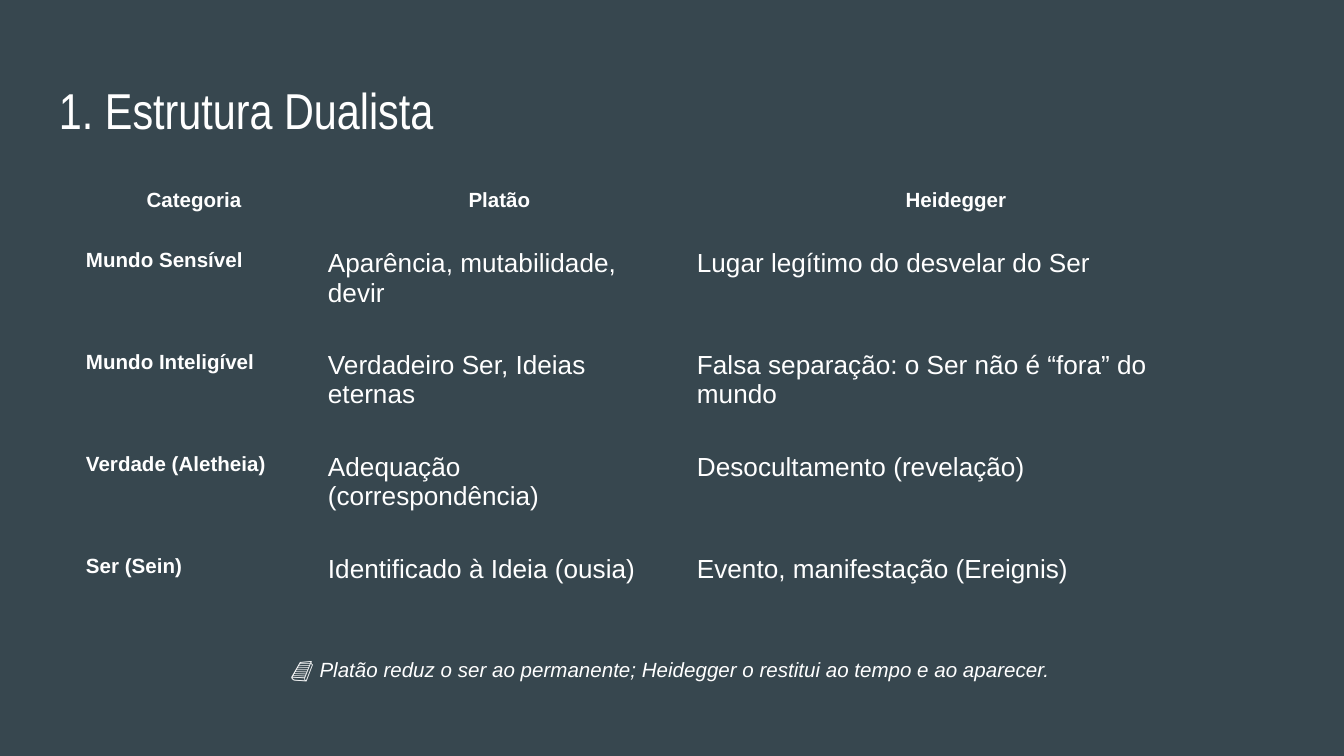
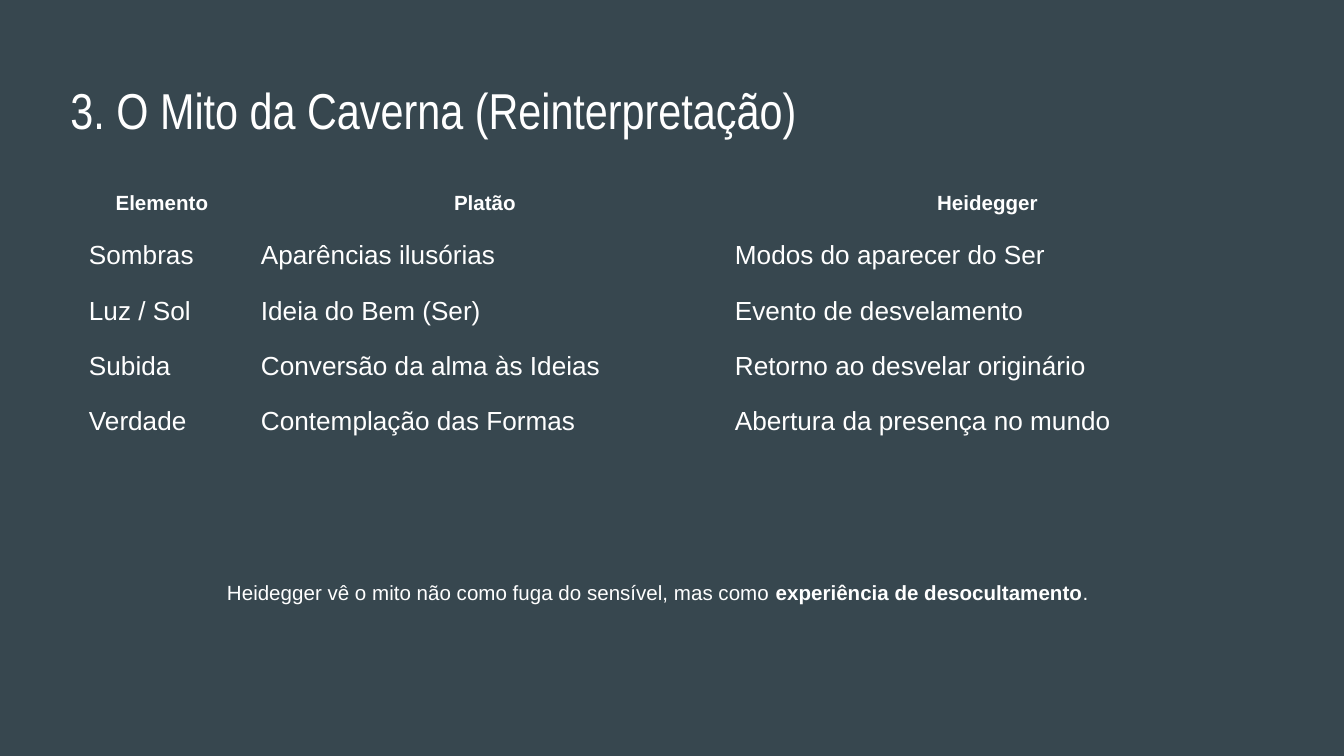
"""Builds two slides that compare Plato and Heidegger in tables."""
from pptx import Presentation
from pptx.dml.color import RGBColor
from pptx.enum.text import MSO_ANCHOR, MSO_AUTO_SIZE, PP_ALIGN
from pptx.util import Pt

LEFT, CENTER = PP_ALIGN.LEFT, PP_ALIGN.CENTER
TOP = MSO_ANCHOR.TOP
FIXED = MSO_AUTO_SIZE.NONE
GROW = MSO_AUTO_SIZE.SHAPE_TO_FIT_TEXT

SLIDES = [
    {
        "title": "1. Estrutura Dualista",
        "rows": [
            ("Categoria", "Platão", "Heidegger"),
            ("Mundo Sensível", "Aparência, mutabilidade, devir",
             "Lugar legítimo do desvelar do Ser"),
            ("Mundo Inteligível", "Verdadeiro Ser, Ideias eternas",
             "Falsa separação: o Ser não é “fora” do mundo"),
            ("Verdade (Aletheia)", "Adequação (correspondência)",
             "Desocultamento (revelação)"),
            ("Ser (Sein)", "Identificado à Ideia (ousia)",
             "Evento, manifestação (Ereignis)"),
        ],
        "start": (73, 173),
        "widths": (242, 369, 544),
        "heights": (63, 102),
        "labels": True,
        "note": [
            ("📘 ", ""),
            ("Platão reduz o ser ao permanente; "
             "Heidegger o restitui ao tempo e ao aparecer.", "italic"),
        ],
        "place": (278, 645, 788, 52),
    },
    {
        "title": " 3. O Mito da Caverna (Reinterpretação)",
        "rows": [
            ("Elemento", "Platão", "Heidegger"),
            ("Sombras", "Aparências ilusórias", "Modos do aparecer do Ser"),
            ("Luz / Sol", "Ideia do Bem (Ser)", "Evento de desvelamento"),
            ("Subida", "Conversão da alma às Ideias",
             "Retorno ao desvelar originário"),
            ("Verdade", "Contemplação das Formas",
             "Abertura da presença no mundo"),
        ],
        "start": (76, 176),
        "widths": (172, 474, 531),
        "heights": (30, 30),
        "labels": False,
        "note": [
            ("Heidegger vê o mito não como fuga do sensível, mas como ", ""),
            ("experiência de desocultamento", "bold"),
            (".", ""),
        ],
        "place": (214, 568, 916, 52),
    },
]

COLORS = {"back": "37474F", "text": "FFFFFF"}
HEAD, BODY = "Arial Narrow", "Arial"
BIG, MID, SMALL = 27, 14, 11
SIZE = (1344, 756)
TITLE = (46, 66, 1252, 85)
PAD = 13
PLAIN = "{2D5ABB26-0587-4C30-8999-92F81FD0307C}"
SCALE = 914400 / 134.4


def px(num):
    return round(num * SCALE)


def style(run, size, face=BODY, bold=False, italic=False):
    font = run.font
    font.name, font.size = face, Pt(size)
    font.bold, font.italic = bold, italic
    font.color.rgb = RGBColor.from_string(COLORS["text"])


def pad(part):
    part.margin_left = part.margin_right = px(PAD)
    part.margin_top = part.margin_bottom = px(PAD)


def add_title(slide, text):
    shape = slide.shapes.title
    shape.left, shape.top, shape.width, shape.height = map(px, TITLE)
    frame = shape.text_frame
    frame.text = text
    frame.auto_size, frame.vertical_anchor = FIXED, TOP
    pad(frame)
    para = frame.paragraphs[0]
    para.alignment = LEFT
    style(para.runs[0], BIG, HEAD)


def add_grid(slide, data):
    rows, widths = data["rows"], data["widths"]
    first, rest = data["heights"]
    highs = [first] + [rest] * (len(rows) - 1)
    box = (*data["start"], sum(widths), sum(highs))
    table = slide.shapes.add_table(len(rows), len(widths), *map(px, box)).table
    table._tbl.tblPr[0].text = PLAIN
    table.first_row = table.horz_banding = False
    for col, width in zip(table.columns, widths):
        col.width = px(width)
    for r, (row, high) in enumerate(zip(rows, highs)):
        table.rows[r].height = px(high)
        for c, text in enumerate(row):
            cell = table.cell(r, c)
            cell.text = text
            cell.fill.background()
            pad(cell)
            para = cell.text_frame.paragraphs[0]
            if r == 0:
                para.alignment, para.line_spacing = CENTER, 1.15
            strong = r == 0 or (c == 0 and data["labels"])
            style(para.runs[0], SMALL if strong else MID, bold=strong)


def add_note(slide, parts, place):
    frame = slide.shapes.add_textbox(*map(px, place)).text_frame
    frame.word_wrap, frame.auto_size = True, GROW
    pad(frame)
    for text, look in parts:
        run = frame.paragraphs[0].add_run()
        run.text = text
        style(run, SMALL, bold=look == "bold", italic=look == "italic")


def main():
    deck = Presentation()
    deck.slide_width, deck.slide_height = map(px, SIZE)
    fill = deck.slide_master.background.fill
    fill.solid()
    fill.fore_color.rgb = RGBColor.from_string(COLORS["back"])
    for data in SLIDES:
        slide = deck.slides.add_slide(deck.slide_layouts[5])
        add_title(slide, data["title"])
        add_grid(slide, data)
        add_note(slide, data["note"], data["place"])
    deck.save("out.pptx")


if __name__ == "__main__":
    main()
